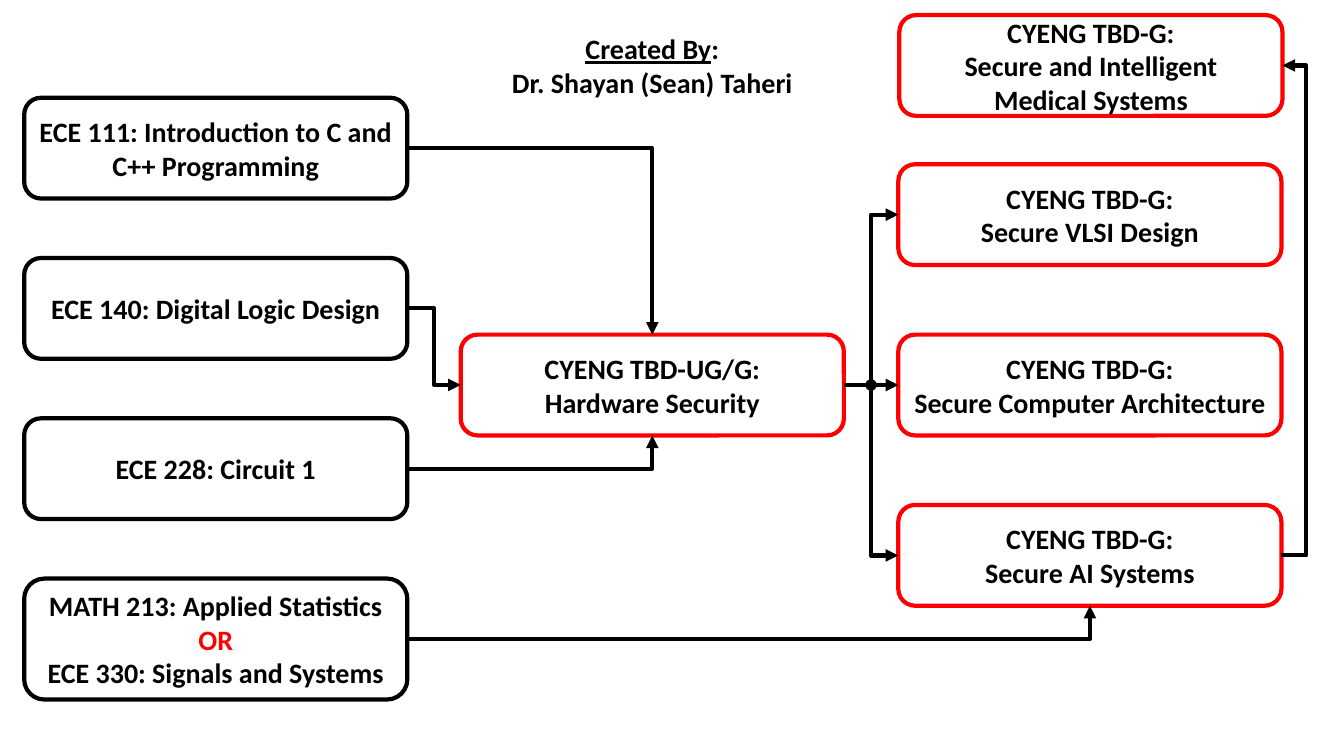
"""Builds a course prerequisite map around hardware security."""
from lxml.etree import SubElement
from pptx import Presentation
from pptx.dml.color import RGBColor
from pptx.enum.shapes import MSO_CONNECTOR as LINK, MSO_SHAPE as SHAPE
from pptx.enum.text import MSO_ANCHOR, PP_ALIGN
from pptx.oxml.ns import qn
from pptx.util import Inches, Pt

COLORS = {"black": "000000", "red": "FF0000"}
TOP, LEFT, BOTTOM, RIGHT = range(4)
COURSE_WIDTH, COURSE_HEIGHT = 3.8, 1
PREREQ_X, CORE_X, GRAD_X = 0.24, 4.57, 8.91
HEADER_Y, CORE_Y = 0.15, 3.32


def add_course(x, y, lines, outline, height=COURSE_HEIGHT):
    course = slide.shapes.add_shape(
        SHAPE.ROUNDED_RECTANGLE, Inches(x), Inches(y), Inches(COURSE_WIDTH), Inches(height))
    course.shadow.inherit = False
    course.fill.background()
    if outline:
        course.line.color.rgb = RGBColor.from_string(COLORS[outline])
        course.line.width = Pt(3)
    else:
        course.line.fill.background()
    frame = course.text_frame
    frame.word_wrap = True
    frame.vertical_anchor = MSO_ANCHOR.MIDDLE
    for i, line in enumerate(lines):
        paragraph = frame.paragraphs[0] if i == 0 else frame.add_paragraph()
        paragraph.alignment = PP_ALIGN.CENTER
        for text, color, underline in line:
            run = paragraph.add_run()
            run.text = text
            run.font.name = "Calibri"
            run.font.size = Pt(20)
            run.font.bold = True
            run.font.underline = underline
            run.font.color.rgb = RGBColor.from_string(COLORS[color])
    return course


def add_arrow(source, source_side, target, target_side, preset, bend=None):
    kind = LINK.STRAIGHT if preset == "line" else LINK.ELBOW
    arrow = slide.shapes.add_connector(kind, 0, 0, 0, 0)
    arrow.begin_connect(source, source_side)
    arrow.end_connect(target, target_side)
    arrow.line.color.rgb = RGBColor.from_string(COLORS["black"])
    arrow.line.width = Pt(3)
    properties = arrow._element.spPr
    SubElement(properties.find(qn("a:ln")), qn("a:tailEnd"), type="triangle")
    SubElement(properties, qn("a:effectLst"))
    geometry = properties.find(qn("a:prstGeom"))
    geometry.set("prst", preset)
    if bend is not None:
        guides = geometry.find(qn("a:avLst"))
        if guides is None:
            guides = SubElement(geometry, qn("a:avLst"))
        SubElement(guides, qn("a:gd"), name="adj1", fmla=f"val {bend}")


deck = Presentation()
deck.slide_width, deck.slide_height = Inches(13.33), Inches(7.5)
slide = deck.slides.add_slide(deck.slide_layouts[6])

prerequisites = [
    (["ECE 111: Introduction to C and C++ Programming"], 1),
    (["ECE 140: Digital Logic Design"], 1),
    (["ECE 228: Circuit 1"], 1),
    (["MATH 213: Applied Statistics", "OR", "ECE 330: Signals and Systems"], 1.2),
]
programming, logic, circuits, statistics = [
    add_course(PREREQ_X, 0.97 + 1.59 * row,
               [[(text, "red" if text == "OR" else "black", False)] for text in lines],
               "black", height)
    for row, (lines, height) in enumerate(prerequisites)]

security_courses = [
    (CORE_X, CORE_Y, ["CYENG TBD-UG/G:", "Hardware Security"]),
    (GRAD_X, CORE_Y - 1.69, ["CYENG TBD-G:", "Secure VLSI Design"]),
    (GRAD_X, CORE_Y, ["CYENG TBD-G:", "Secure Computer Architecture"]),
    (GRAD_X, CORE_Y + 1.69, ["CYENG TBD-G:", "Secure AI Systems"]),
    (GRAD_X + 0.01, HEADER_Y, ["CYENG TBD-G:", "Secure and Intelligent", "Medical Systems"]),
]
hardware, vlsi, architecture, ai, medical = [
    add_course(x, y, [[(text, "black", False)] for text in lines], "red")
    for x, y, lines in security_courses]

add_course(CORE_X, HEADER_Y, [
    [("Created By", "black", True), (":", "black", False)],
    [("Dr. Shayan (Sean) Taheri", "black", False)],
], None)

for source, target, side in [
        (programming, hardware, TOP), (circuits, hardware, BOTTOM), (statistics, ai, BOTTOM)]:
    add_arrow(source, RIGHT, target, side, "bentConnector2")
for source, target in [(logic, hardware), (hardware, vlsi), (hardware, ai)]:
    add_arrow(source, RIGHT, target, LEFT, "bentConnector3", 50000)
add_arrow(hardware, RIGHT, architecture, LEFT, "line")
add_arrow(ai, RIGHT, medical, RIGHT, "bentConnector3", 2500000)

junction = slide.shapes.add_shape(
    SHAPE.OVAL, Inches(8.59), Inches(3.77), Inches(0.1), Inches(0.1))
junction.shadow.inherit = False
junction.fill.solid()
junction.fill.fore_color.rgb = RGBColor.from_string(COLORS["black"])
junction.line.color.rgb = RGBColor.from_string(COLORS["black"])
junction.line.width = Pt(1)

deck.save("out.pptx")
